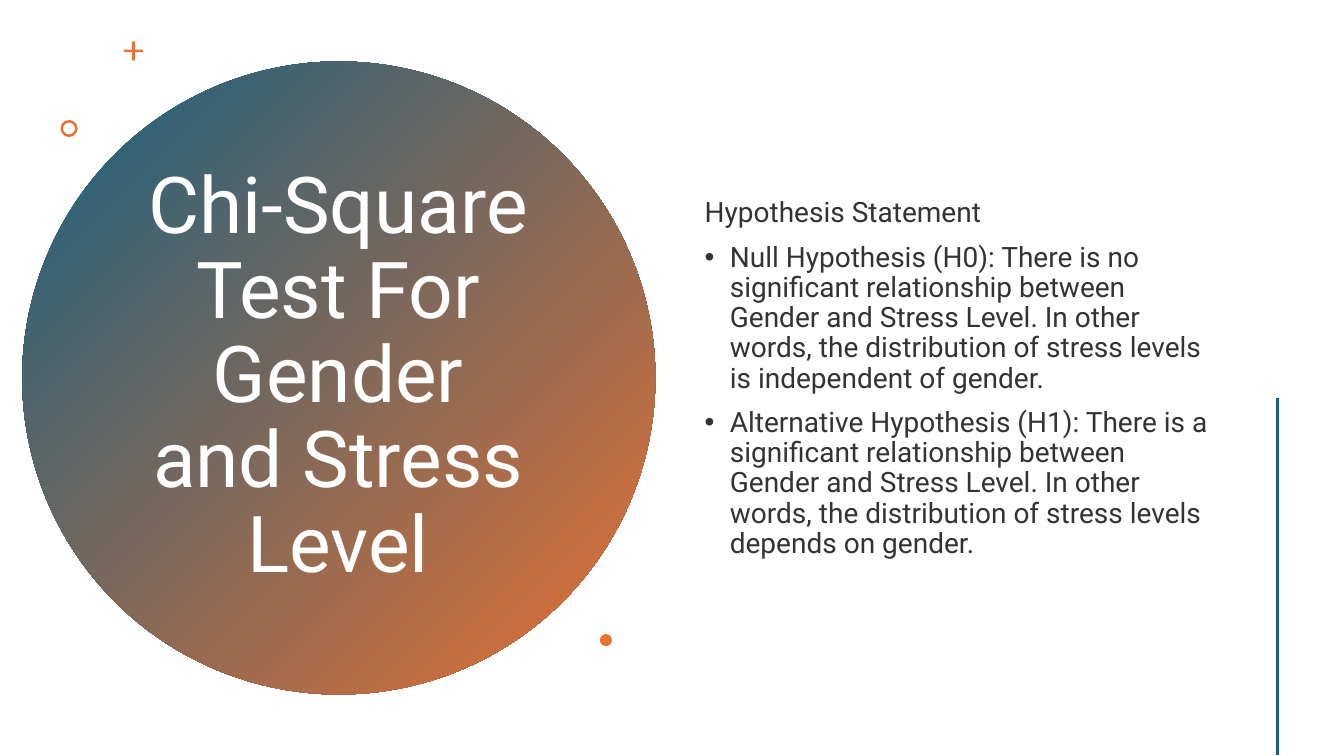
from lxml.etree import SubElement
from pptx import Presentation
from pptx.dml.color import RGBColor
from pptx.enum.shapes import MSO_CONNECTOR, MSO_SHAPE
from pptx.enum.text import MSO_ANCHOR, PP_ALIGN
from pptx.oxml.ns import qn
from pptx.util import Inches, Pt

COLORS = {
    "blue": "156082",
    "orange": "E97132",
    "white": "FFFFFF",
    "text": "333333",
}
FONT = "Roboto"
TITLE = "Chi-Square Test For Gender and Stress Level"
HEADING = "Hypothesis Statement"
HYPOTHESES = [
    "Null Hypothesis (H0): There is no significant relationship between Gender "
    "and Stress Level. In other words, the distribution of stress levels is "
    "independent of gender.",
    "Alternative Hypothesis (H1): There is a significant relationship between "
    "Gender and Stress Level. In other words, the distribution of stress levels "
    "depends on gender.",
]


def color(name):
    return RGBColor.from_string(COLORS[name])


def add_text_box(slide, left, top, width, height):
    box = slide.shapes.add_textbox(
        Inches(left), Inches(top), Inches(width), Inches(height))
    frame = box.text_frame
    frame.word_wrap = True
    frame.vertical_anchor = MSO_ANCHOR.MIDDLE
    return frame


def write(paragraph, text, size=20, fill="text", align=PP_ALIGN.LEFT,
          space_before=0, bullet=False):
    paragraph.alignment = align
    paragraph.line_spacing = 0.9
    paragraph.space_before = Pt(space_before)
    if bullet:
        properties = paragraph._p.get_or_add_pPr()
        properties.set("marL", str(Inches(0.25)))
        properties.set("indent", str(Inches(-0.25)))
        SubElement(properties, qn("a:buFont"), typeface="Arial")
        SubElement(properties, qn("a:buChar"), char="•")
    run = paragraph.add_run()
    run.text = text
    run.font.name = FONT
    run.font.size = Pt(size)
    run.font.color.rgb = color(fill)


def add_shape(slide, kind, left, top, size, adjustment=None):
    shape = slide.shapes.add_shape(
        kind, Inches(left), Inches(top), Inches(size), Inches(size))
    shape.shadow.inherit = False
    shape.line.fill.background()
    shape.fill.solid()
    shape.fill.fore_color.rgb = color("orange")
    if adjustment is not None:
        shape.adjustments[0] = adjustment
    return shape


def add_gradient_circle(slide, left, top, size):
    circle = add_shape(slide, MSO_SHAPE.OVAL, left, top, size)
    circle.fill.gradient()
    circle.fill.gradient_angle = 315
    for stop, name, position in zip(
            circle.fill.gradient_stops, ("blue", "orange"), (0, 1)):
        stop.color.rgb = color(name)
        stop.position = position


def add_vertical_line(slide, x, top, bottom):
    line = slide.shapes.add_connector(
        MSO_CONNECTOR.STRAIGHT, Inches(x), Inches(top), Inches(x), Inches(bottom))
    line.line.color.rgb = color("blue")
    line.line.width = Pt(2)
    SubElement(line._element.spPr, qn("a:effectLst"))


def main():
    presentation = Presentation()
    presentation.slide_width = Inches(13.33)
    presentation.slide_height = Inches(7.5)
    slide = presentation.slides.add_slide(presentation.slide_layouts[6])

    add_gradient_circle(slide, 0.22, 0.61, 6.28)
    title = add_text_box(slide, 1.36, 1.41, 3.99, 4.67)
    write(title.paragraphs[0], TITLE, size=56, fill="white", align=PP_ALIGN.CENTER)

    add_shape(slide, MSO_SHAPE.CROSS, 1.23, 0.41, 0.19, adjustment=0.43)
    add_shape(slide, MSO_SHAPE.DONUT, 0.6, 1.19, 0.17, adjustment=0.15)

    body = add_text_box(slide, 6.89, 0.57, 5.22, 6.38)
    write(body.paragraphs[0], HEADING)
    for hypothesis in HYPOTHESES:
        write(body.add_paragraph(), hypothesis, space_before=10, bullet=True)

    add_shape(slide, MSO_SHAPE.OVAL, 5.95, 6.29, 0.12)
    add_vertical_line(slide, 12.67, 3.95, 7.49)
    presentation.save("out.pptx")


if __name__ == "__main__":
    main()
